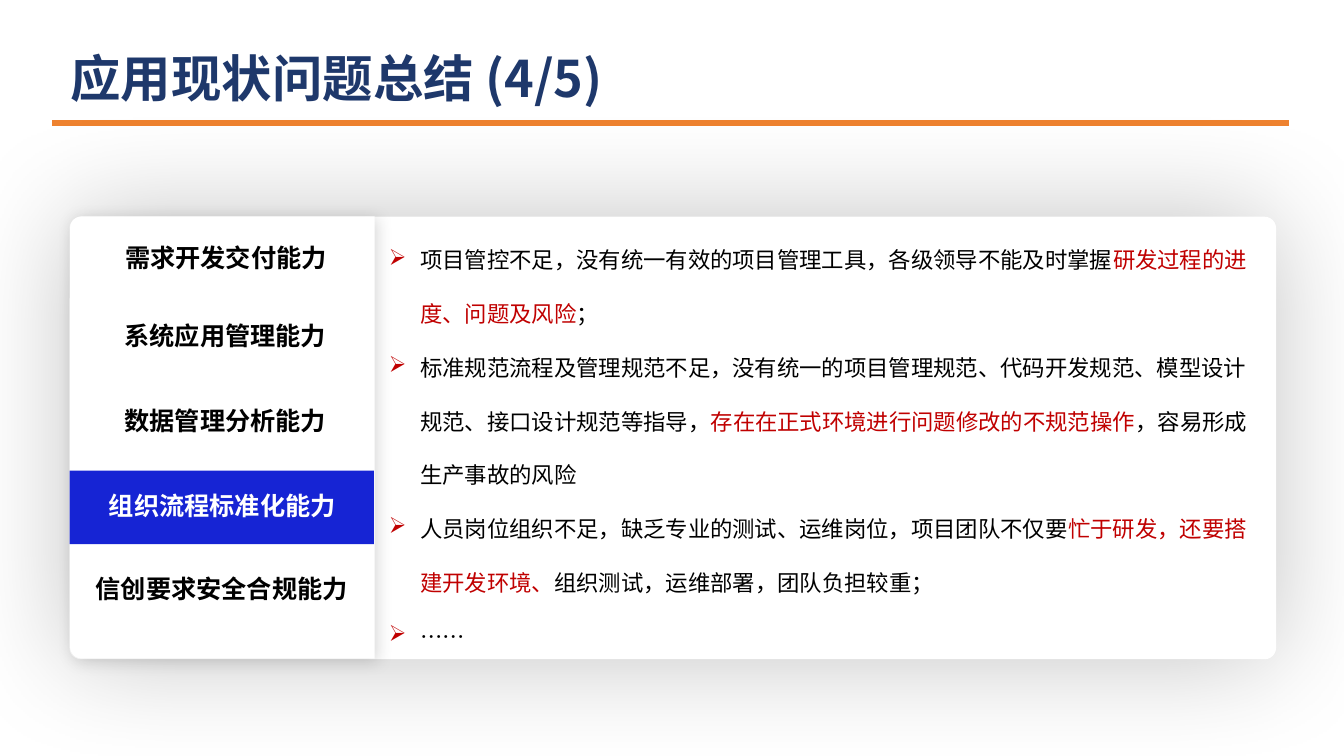
"""Build the slide that sums up application problems, part 4 of 5."""
from typing import NamedTuple

from pptx import Presentation, util as u
from pptx.dml import color as dye
from pptx.enum import shapes as sh, text as tx
from pptx.oxml import ns
from lxml import etree

COLS, ROWS = 160, 90
WIDE, HIGH = u.Inches(13.33), u.Inches(7.5)
FACE = "Noto Sans CJK SC"
HUES = {"navy": "1E386B", "orange": "EE822F", "blue": "1624D4",
        "red": "C00000", "black": "000000", "white": "FFFFFF"}


class Box(NamedTuple):
    left: float
    top: float
    width: float
    height: float


class Shade(NamedTuple):
    alpha: int
    blur: int
    gap: int
    turn: int


class Panel(NamedTuple):
    kind: sh.MSO_SHAPE
    box: Box
    hue: str
    bends: tuple[float, ...] = ()
    shade: Shade | None = None
    spin: int = 0


class Tab(NamedTuple):
    label: str
    box: Box
    hue: str = "black"


CARD = Box(8.28, 25.8, 143.64, 52.68)
MENU = Box(0.12, 33.96, 52.68, 36.24)
RULE = Box(6.24, 14.64, 147.24, 0)
HEAD = Box(8.4, 3.24, 144.24, 11.88)
BODY = Box(45.12, 25.56, 105.12, 52.92)

PANELS = [
    Panel(sh.MSO_SHAPE.ROUNDED_RECTANGLE, CARD, "white", (0.026,),
          Shade(24, 82, 0, 0)),
    Panel(sh.MSO_SHAPE.ROUND_2_SAME_RECTANGLE, MENU, "white", (0.039, 0),
          Shade(15, 12, 2, 45), 270),
    Panel(sh.MSO_SHAPE.RECTANGLE, Box(8.28, 56.04, 36.24, 8.76), "blue"),
]
TABS = [
    Tab("需求开发交付能力", Box(13.08, 28.2, 27.6, 4.8)),
    Tab("系统应用管理能力", Box(12.12, 37.56, 29.4, 4.8)),
    Tab("数据管理分析能力", Box(12.12, 47.64, 29.4, 4.8)),
    Tab("组织流程标准化能力", Box(8.4, 57.72, 36.12, 4.8), "white"),
    Tab("信创要求安全合规能力", Box(8.28, 67.68, 36.24, 4.8)),
]
POINTS = [
    ("项目管控不足，没有统一有效的项目管理工具，各级领导不能及时掌握",
     "研发过程的进度、问题及风险", "；"),
    ("标准规范流程及管理规范不足，没有统一的项目管理规范、代码开发规范、"
     "模型设计规范、接口设计规范等指导，",
     "存在在正式环境进行问题修改的不规范操作", "，容易形成生产事故的风险"),
    ("人员岗位组织不足，缺乏专业的测试、运维岗位，项目团队不仅要",
     "忙于研发，还要搭建开发环境、", "组织测试，运维部署，团队负担较重；"),
    ("……",),
]


def tint(hue: str) -> dye.RGBColor:
    return dye.RGBColor.from_string(HUES[hue])


def place(box: Box) -> tuple[int, int, int, int]:
    return (round(box.left * WIDE / COLS), round(box.top * HIGH / ROWS),
            round(box.width * WIDE / COLS), round(box.height * HIGH / ROWS))


def add_shade(shape, shade: Shade) -> None:
    glow = etree.SubElement(
        shape._element.spPr.find(ns.qn("a:effectLst")), ns.qn("a:outerShdw"),
        blurRad=str(u.Pt(shade.blur)), dist=str(u.Pt(shade.gap)),
        dir=str(shade.turn * 60000), algn="ctr", rotWithShape="0")
    hue = etree.SubElement(glow, ns.qn("a:srgbClr"), val=HUES["black"])
    etree.SubElement(hue, ns.qn("a:alpha"), val=str(shade.alpha * 1000))


def add_panel(slide, panel: Panel) -> None:
    shape = slide.shapes.add_shape(panel.kind, *place(panel.box))
    shape.shadow.inherit = False
    shape.fill.solid()
    shape.fill.fore_color.rgb = tint(panel.hue)
    shape.line.fill.background()
    shape.rotation = panel.spin
    for i, bend in enumerate(panel.bends):
        shape.adjustments[i] = bend
    if panel.shade:
        add_shade(shape, panel.shade)


def add_rule(slide) -> None:
    left, top, width, _ = place(RULE)
    rule = slide.shapes.add_connector(
        sh.MSO_CONNECTOR.STRAIGHT, left, top, left + width, top)
    rule.line.color.rgb = tint("orange")
    rule.line.width = u.Pt(4.5)
    etree.SubElement(rule._element.spPr, ns.qn("a:effectLst"))


def add_frame(slide, box: Box, middle: bool = True, grow: bool = True):
    frame = slide.shapes.add_textbox(*place(box)).text_frame
    frame.word_wrap = True
    if middle:
        frame.vertical_anchor = tx.MSO_ANCHOR.MIDDLE
    if grow:
        frame.auto_size = tx.MSO_AUTO_SIZE.SHAPE_TO_FIT_TEXT
    return frame


def set_font(para, size: int, hue: str, bold: bool = False) -> None:
    font = para.font
    font.size, font.bold, font.name = u.Pt(size), bold, FACE
    font.color.rgb = tint(hue)
    base = para._p.pPr.find(ns.qn("a:defRPr"))
    etree.SubElement(base, ns.qn("a:ea"), typeface=FACE)


def add_tab(slide, tab: Tab) -> None:
    para = add_frame(slide, tab.box).paragraphs[0]
    para.text = tab.label
    para.alignment = tx.PP_ALIGN.CENTER
    set_font(para, 18, tab.hue, True)


def add_point(para, parts: tuple[str, ...]) -> None:
    para.line_spacing = 2.0
    props = para._p.get_or_add_pPr()
    dent = u.Inches(0.31)
    props.set("marL", str(dent))
    props.set("indent", str(-dent))
    mark = etree.SubElement(props, ns.qn("a:buClr"))
    etree.SubElement(mark, ns.qn("a:srgbClr"), val=HUES["red"])
    etree.SubElement(props, ns.qn("a:buChar"), char="➢")
    set_font(para, 16, "black")
    for i, part in enumerate(parts):
        run = para.add_run()
        run.text = part
        if i % 2:
            run.font.color.rgb = tint("red")


def add_body(slide) -> None:
    frame = add_frame(slide, BODY, middle=False)
    for i, parts in enumerate(POINTS):
        add_point(frame.add_paragraph() if i else frame.paragraphs[0], parts)


def add_head(slide) -> None:
    frame = add_frame(slide, HEAD, grow=False)
    frame.margin_left = 0
    para = frame.paragraphs[0]
    set_font(para, 36, "navy", True)
    for part, face in (("应用现状问题总结", "DejaVu Sans"), (" (4/5)", FACE)):
        run = para.add_run()
        run.text, run.font.name = part, face


def main() -> None:
    deck = Presentation()
    deck.slide_width, deck.slide_height = WIDE, HIGH
    slide = deck.slides.add_slide(deck.slide_layouts[6])
    add_rule(slide)
    for panel in PANELS:
        add_panel(slide, panel)
    for tab in TABS:
        add_tab(slide, tab)
    add_body(slide)
    add_head(slide)
    deck.save("out.pptx")


if __name__ == "__main__":
    main()
